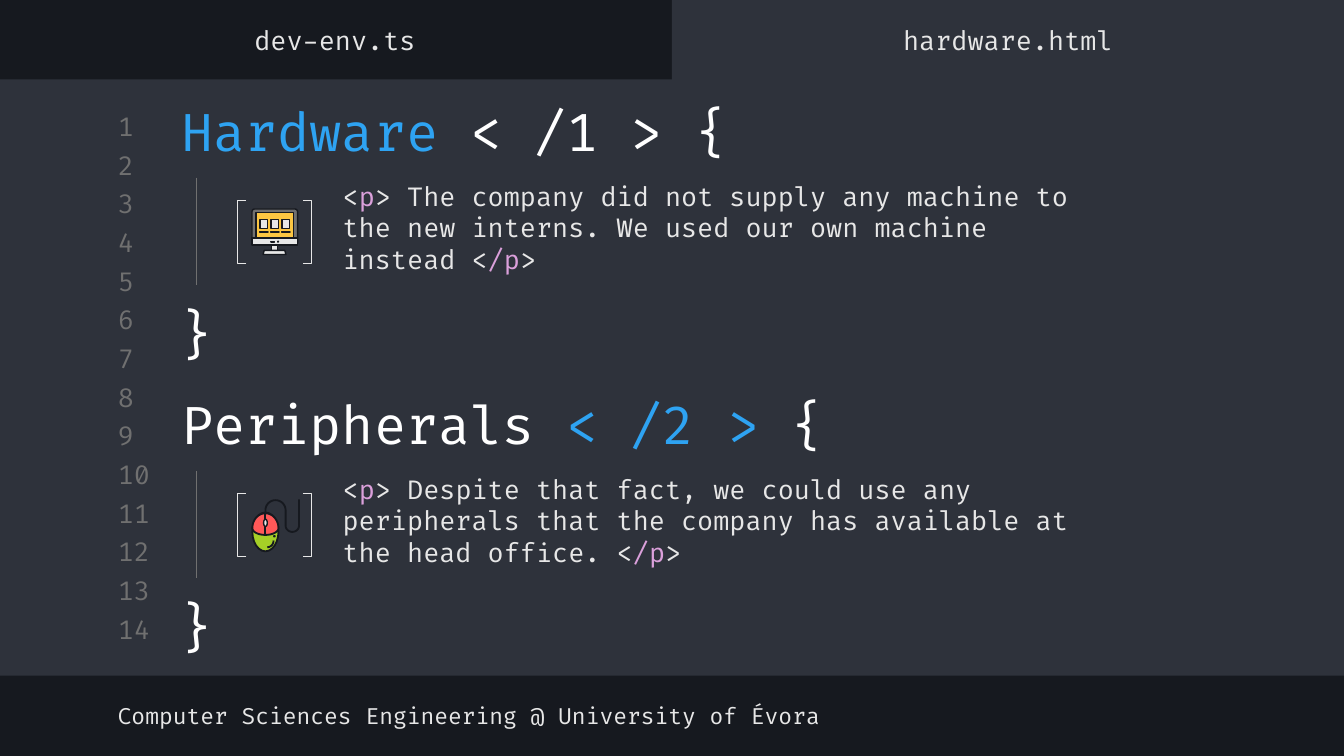
from dataclasses import dataclass
from math import cos, pi, sin

from lxml import etree
from pptx import Presentation
from pptx.dml.color import RGBColor
from pptx.enum.shapes import MSO_CONNECTOR as Connector, MSO_SHAPE as Preset
from pptx.enum.text import MSO_ANCHOR as Anchor, MSO_AUTO_SIZE as Fit, PP_ALIGN as Align
from pptx.oxml.ns import qn
from pptx.util import Pt


@dataclass(frozen=True)
class Theme:
    font: str = "Fira Code"
    dark: str = "16191F"
    panel: str = "2E323B"
    grey: str = "707070"
    light: str = "E7E7E7"
    white: str = "FFFFFF"
    blue: str = "2EA3F2"
    pink: str = "DBA0DB"
    yellow: str = "FCC642"
    red: str = "FF5858"
    green: str = "A5CF27"
    title: int = 28
    body: int = 14
    footer: int = 12


theme = Theme()
deck = Presentation()
deck.slide_width, deck.slide_height = Pt(720), Pt(405)
page = deck.slides.add_slide(deck.slide_layouts[6])
page.background.fill.solid()
page.background.fill.fore_color.rgb = RGBColor.from_string(theme.dark)


def write(place, spans, size, align=Align.LEFT, anchor=Anchor.MIDDLE):
    """Add a text box of one paragraph; spans are (text, colour) pairs."""
    box = page.shapes.add_textbox(*map(Pt, place))
    frame = box.text_frame
    frame_format = {
        "word_wrap": True, "auto_size": Fit.NONE, "vertical_anchor": anchor,
        "margin_left": Pt(7.2), "margin_right": Pt(7.2),
        "margin_top": Pt(7.2), "margin_bottom": Pt(7.2),
    }
    for name, value in frame_format.items():
        setattr(frame, name, value)
    para = frame.paragraphs[0]
    para.alignment = align
    for text, colour in spans:
        span = para.add_run()
        span.text = text
        for name, value in {"name": theme.font, "size": Pt(size)}.items():
            setattr(span.font, name, value)
        span.font.color.rgb = RGBColor.from_string(colour)


def paint(shape, fill=None, line=None, width=0.75):
    """Give a shape its fill and line, and no shadow."""
    shape.shadow.inherit = False
    if fill:
        shape.fill.solid()
        shape.fill.fore_color.rgb = RGBColor.from_string(fill)
    else:
        shape.fill.background()
    if line:
        shape.line.color.rgb = RGBColor.from_string(line)
        shape.line.width = Pt(width)
    else:
        shape.line.fill.background()


# Editor panel and the active tab
for place in [(0, 42.5, 720, 319.5), (360, 0, 360, 46.8)]:
    paint(page.shapes.add_shape(Preset.RECTANGLE, *map(Pt, place)), theme.panel)

# Tab names and footer
for left, name in [(-0.5, "dev-env.ts"), (360, "hardware.html")]:
    write((left, 7.5, 360, 28), [(name, theme.light)], theme.body, Align.CENTER)
write((56, 369.5, 446, 28),
      [("Computer Sciences Engineering @ University of Évora", theme.light)], theme.footer)

# Line numbers
for row in range(14):
    write((56, 58.8 + 20.73 * row, 34, 17.3), [(str(row + 1), theme.grey)], theme.body)

# Two code sections
sections = [
    ([("Hardware ", theme.blue), ("< /1 > {", theme.white)],
     "The company did not supply any machine to the new interns. "
     "We used our own machine instead"),
    ([("Peripherals ", theme.white), ("< /2 > ", theme.blue), ("{", theme.white)],
     "Despite that fact, we could use any peripherals that the company "
     "has available at the head office."),
]
for index, (heading, sentence) in enumerate(sections):
    top = 49 + 157 * index
    write((90, top, 359, 42), heading, theme.title)
    write((176.5, top + 41.7, 405, 62),
          [("<", theme.light), ("p", theme.pink), (f"> {sentence} <", theme.light),
           ("/p", theme.pink), (">", theme.light)], theme.body)
    write((85.5, top + 105, 39.6, 48), [("}", theme.white)], theme.title,
          Align.CENTER, Anchor.TOP)

    guide = page.shapes.add_connector(
        Connector.STRAIGHT, Pt(105.2), Pt(top + 46.2), Pt(105.2), Pt(top + 103.8))
    guide.line.color.rgb = RGBColor.from_string(theme.grey)
    guide.line.width = Pt(0.75)
    etree.SubElement(guide._element.spPr, qn("a:effectLst"))

    for preset, left in [(Preset.LEFT_BRACKET, 127.2), (Preset.RIGHT_BRACKET, 162.2)]:
        bracket = page.shapes.add_shape(
            preset, Pt(left), Pt(top + 58.4), Pt(4.8), Pt(33.8))
        bracket.adjustments[0] = 0
        paint(bracket, line=theme.light)

# Monitor icon: case, screen, chin, stand, foot, then three windows
parts = [
    (Preset.ROUNDED_RECTANGLE, (135, 112, 24.4, 19.4), theme.grey),
    (Preset.RECTANGLE, (137.2, 114, 20, 13.4), theme.yellow),
    (Preset.RECTANGLE, (135, 127.6, 24.4, 3.8), theme.light),
    (Preset.RECTANGLE, (145.4, 131.6, 3.4, 2.8), theme.light),
    (Preset.TRAPEZOID, (141, 134.2, 12.2, 2.2), theme.light),
    (Preset.RECTANGLE, (145.2, 129.4, 2, 0.2), theme.dark),
    (Preset.OVAL, (148.8, 129.3, 0.4, 0.4), theme.dark),
]
for left in (139.3, 145.2, 151.1):
    parts.append((Preset.RECTANGLE, (left, 117.5, 3.9, 4.8), theme.light))
    parts.append((Preset.RECTANGLE, (left - 0.3, 124.2, 4.5, 0.2), theme.dark))
for preset, place, fill in parts:
    part = page.shapes.add_shape(preset, *map(Pt, place))
    if preset == Preset.ROUNDED_RECTANGLE:
        part.adjustments[0] = 0.07
    paint(part, fill, theme.dark)

# Mouse icon: body, buttons, cable and highlight as outlines
steps = [step / 24 for step in range(25)]
center_x, center_y, half_w, half_h = 142.2, 285, 7, 10.4
body = [(center_x + half_w * cos(2 * pi * t), center_y + half_h * sin(2 * pi * t))
        for t in steps]
buttons = [(center_x - half_w * cos(pi * t), center_y - 2 - 8 * sin(pi * t)) for t in steps]
buttons += [(center_x + half_w * cos(pi * t), center_y - 2 + 3.6 * sin(pi * t)) for t in steps]
cable = [(center_x, 275)]
cable += [(147.6 - 5.4 * cos(pi * t), 273.4 - 5.4 * sin(pi * t)) for t in steps]
cable += [(156.6 - 3.6 * cos(pi * t), 281.6 + 3.4 * sin(pi * t)) for t in steps]
cable.append((160.2, 267.6))
highlight = [(143.2 + 3.4 * cos(pi / 2 * t), 289.6 + 3.6 * sin(pi / 2 * t)) for t in steps]
split = [(center_x, 275.2), (center_x, 286.6)]
for points, closed, fill in [
    (cable, False, None), (body, True, theme.green), (buttons, True, theme.red),
    (split, False, None), (highlight, False, None),
]:
    grid = [(100 * x, 100 * y) for x, y in points]
    outline = page.shapes.build_freeform(*grid[0], scale=Pt(1) / 100)
    outline.add_line_segments(grid[1:], close=closed)
    paint(outline.convert_to_shape(), fill, theme.dark, 1)
for place, fill in [((141.2, 278.2, 2, 3.9), theme.light), ((146.7, 287, 0.6, 0.6), theme.dark)]:
    paint(page.shapes.add_shape(Preset.OVAL, *map(Pt, place)), fill, theme.dark)

deck.save("out.pptx")
